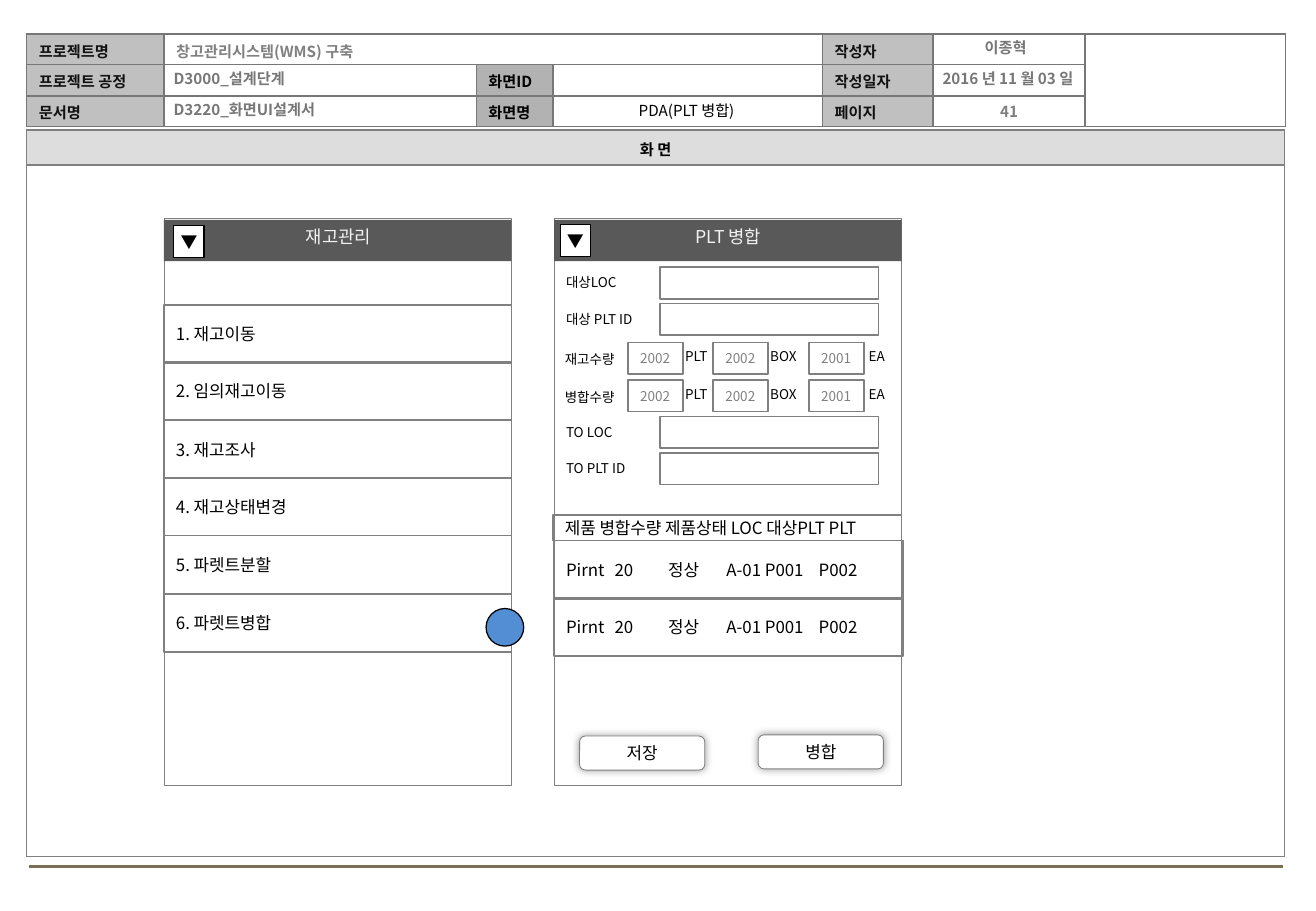
from dataclasses import dataclass
from typing import Optional

from lxml.etree import SubElement as Sub, Element as Elem
from pptx import Presentation
from pptx.dml.color import RGBColor as Rgb
from pptx.enum.shapes import MSO_CONNECTOR as Conn, MSO_SHAPE as Kind
from pptx.enum.text import MSO_ANCHOR as Anchor, MSO_AUTO_SIZE as Fit, PP_ALIGN as Align
from pptx.oxml.ns import qn
from pptx.util import Emu, Pt


@dataclass(frozen=True)
class Theme:
    face: str = "Noto Sans CJK KR"
    black: str = "000000"
    white: str = "FFFFFF"
    ink: str = "111111"
    edge: str = "808080"
    grid: str = "777777"
    page: str = "7F7F7F"
    label: str = "C0C0C0"
    field: str = "B2B2B2"
    band: str = "DDDDDD"
    bar: str = "595959"
    pale: str = "F2F2F2"
    dot: str = "538ED5"
    rule: str = "7A6F54"
    tiny: float = 8
    small: float = 9
    base: float = 10
    large: float = 10.5


@dataclass(frozen=True)
class Box:
    x: int
    y: int
    w: int
    h: int


@dataclass(frozen=True)
class Type:
    size: float
    color: str
    bold: bool = False
    align: Align = Align.LEFT


@dataclass(frozen=True)
class Look:
    fill: Optional[str] = None
    line: Optional[str] = None
    width: float = 1
    kind: Kind = Kind.RECTANGLE
    glow: bool = False


T = Theme()
TINY = Type(T.tiny, T.black)
BASE = Type(T.base, T.black)
FRAME = Look(line=T.edge)


def px(n: int) -> Emu:
    return Emu(n * 9144)


def place(box: Box) -> tuple:
    return px(box.x), px(box.y), px(box.w), px(box.h)


def write(frame, text: str, style: Type, tabs: tuple = ()) -> None:
    para = frame.paragraphs[0]
    para.alignment = style.align
    if tabs:
        stops = Sub(para._p.get_or_add_pPr(), qn("a:tabLst"))
        for stop in tabs:
            Sub(stops, qn("a:tab"), pos=str(px(stop)), algn="l")
    font = para.font
    font.size = Pt(style.size)
    font.bold = style.bold
    font.name = T.face
    font.color.rgb = Rgb.from_string(style.color)
    Sub(para._p.pPr.find(qn("a:defRPr")), qn("a:ea"), typeface=T.face)
    if text:
        para.add_run().text = text
    else:
        Sub(para._p, qn("a:endParaRPr"), sz=str(int(style.size * 100)))


def label(slide, box: Box, text: str, style: Type, wrap: bool = True) -> None:
    frame = slide.shapes.add_textbox(*place(box)).text_frame
    frame.word_wrap = wrap
    if not wrap:
        frame.margin_right = 0
    write(frame, text, style)


def shape(slide, box: Box, look: Look, text: str = "", style: Type = BASE,
          wrap: bool = True, tabs: tuple = ()):
    item = slide.shapes.add_shape(look.kind, *place(box))
    item.shadow.inherit = False
    if look.fill:
        item.fill.solid()
        item.fill.fore_color.rgb = Rgb.from_string(look.fill)
    else:
        item.fill.background()
    if look.line:
        item.line.color.rgb = Rgb.from_string(look.line)
        item.line.width = Pt(look.width)
    else:
        item.line.fill.background()
    if look.glow:
        shade = Sub(item._element.spPr.find(qn("a:effectLst")), qn("a:outerShdw"),
                    blurRad=str(Pt(5)), dist="0", dir="0", algn="ctr", rotWithShape="0")
        tint = Sub(shade, qn("a:srgbClr"), val=T.black)
        Sub(tint, qn("a:alpha"), val="40000")
    if text:
        frame = item.text_frame
        frame.word_wrap = wrap
        frame.vertical_anchor = Anchor.MIDDLE
        write(frame, text, style, tabs)
    return item


def border(cell, color: str) -> None:
    props = cell._tc.get_or_add_tcPr()
    for spot, side in enumerate(("lnL", "lnR", "lnT", "lnB")):
        line = Elem(qn(f"a:{side}"), w=str(Pt(1)))
        Sub(Sub(line, qn("a:solidFill")), qn("a:srgbClr"), val=color)
        props.insert(spot, line)


def table(slide, box: Box, cols: list, rows: list, color: str):
    grid = slide.shapes.add_table(len(rows), len(cols), *place(box)).table
    grid.first_row = grid.horz_banding = False
    for col, width in zip(grid.columns, cols):
        col.width = px(width)
    for row, height in zip(grid.rows, rows):
        row.height = px(height)
        for cell in row.cells:
            cell.fill.background()
            border(cell, color)
            cell.vertical_anchor = Anchor.MIDDLE
            cell.margin_left = cell.margin_right = px(10)
            cell.margin_top, cell.margin_bottom = px(3), px(1)
    return grid


def fill(grid, texts: dict) -> None:
    for r, row in enumerate(grid.rows):
        for c, cell in enumerate(row.cells):
            text, style, tint = texts.get((r, c), ("", Type(T.small, T.black), None))
            write(cell.text_frame, text, style)
            if tint:
                cell.fill.solid()
                cell.fill.fore_color.rgb = Rgb.from_string(tint)


def header(slide) -> None:
    grid = table(slide, Box(22, 28, 1036, 76), [113, 257, 63, 222, 91, 125, 165],
                 [25, 26, 25], T.grid)
    bold = Type(T.small, T.ink, True)
    dark = Type(T.small, T.black, True)
    texts = {(0, 1): ("창고관리시스템(WMS) 구축", Type(T.small, T.edge, True), None)}
    for col, names, first, style, tint in (
            (0, ("프로젝트명", "프로젝트 공정", "문서명"), 0, bold, T.label),
            (2, ("화면ID", "화면명"), 1, dark, T.field),
            (4, ("작성자", "작성일자", "페이지"), 0, bold, T.label)):
        for row, name in enumerate(names, first):
            texts[row, col] = name, style, tint
    grid.cell(0, 1).merge(grid.cell(0, 3))
    grid.cell(0, 6).merge(grid.cell(2, 6))
    fill(grid, texts)

    left = Type(T.small, T.grid, True)
    mid = Type(T.small, T.grid, True, Align.CENTER)
    label(slide, Box(133, 52, 542, 25), "D3000_설계단계", left)
    label(slide, Box(133, 78, 541, 25), "D3220_화면UI설계서", left)
    label(slide, Box(749, 27, 157, 25), "이종혁", mid)
    label(slide, Box(751, 52, 157, 25), "2016 년 11 월 03 일", mid)
    label(slide, Box(768, 79, 125, 25), "41", Type(T.small, T.page, True, Align.CENTER))

    body = table(slide, Box(22, 107, 1035, 598), [1035], [29, 569], T.edge)
    fill(body, {(0, 0): ("화 면", Type(T.small, T.black, True, Align.CENTER), T.band)})


def panel(slide, x: int, name: str, mark: Box) -> None:
    shape(slide, Box(x, 180, 286, 467), Look(T.white, T.edge, 0.5, Kind.FLOWCHART_PROCESS))
    shape(slide, Box(x, 181, 286, 34), Look(T.bar))
    label(slide, Box(x + 1, 181, 285, 28), name, Type(T.large, T.pale, align=Align.CENTER))
    arrow = shape(slide, mark, Look(T.white, T.black, 0.75), "▼",
                  Type(T.base, T.black, align=Align.CENTER), False).text_frame
    arrow.margin_left = arrow.margin_right = px(2)
    arrow.margin_top = arrow.margin_bottom = px(4)


def menu(slide) -> None:
    panel(slide, 135, "재고관리", Box(143, 186, 25, 26))
    names = ("재고이동", "임의재고이동", "재고조사", "재고상태변경", "파렛트분할", "파렛트병합")
    for i, name in enumerate(names):
        shape(slide, Box(135, 251 + i * 238 // 5, 286, 48), FRAME, f"{i + 1}. {name}")
    shape(slide, Box(400, 501, 31, 31), Look(T.dot, T.black, 0.75, Kind.OVAL))


def form(slide) -> None:
    panel(slide, 456, "PLT 병합", Box(461, 185, 25, 26))
    for y, name in ((220, "대상LOC"), (250, "대상 PLT ID"), (343, "TO LOC"), (373, "TO PLT ID")):
        shape(slide, Box(543, y, 180, 26), FRAME)
        label(slide, Box(456, y + 1, 80, 24), name, TINY, False)
    for y, name in ((282, "재고수량"), (313, "병합수량")):
        label(slide, Box(455, y + 2, 73, 24), name, TINY)
        for x, count, gap, width, unit in ((517, "2002", 37, 38, "PLT"),
                                           (587, "2002", 37, 42, "BOX"),
                                           (666, "2001", 39, 37, "EA")):
            shape(slide, Box(x, y, 45, 26), FRAME, count, Type(T.tiny, T.edge), False)
            label(slide, Box(x + gap, y, width, 24), unit, TINY, False)
    for y in (445, 492):
        shape(slide, Box(456, y, 287, 48), FRAME, "Pirnt\t20\t정상\tA-01 P001\tP002",
              tabs=(40, 84, 132, 208))
    shape(slide, Box(455, 424, 287, 21), FRAME, "제품 병합수량 제품상태 LOC 대상PLT PLT")
    key = Look(T.white, T.edge, 0.5, Kind.ROUNDED_RECTANGLE, True)
    for x, y, name in ((624, 605, "병합"), (477, 606, "저장")):
        shape(slide, Box(x, y, 103, 28), key, name, Type(T.base, T.black, align=Align.CENTER))


def main() -> None:
    deck = Presentation()
    deck.slide_width, deck.slide_height = px(1083), px(750)
    slide = deck.slides.add_slide(deck.slide_layouts[5])
    title = slide.shapes.title
    title.left, title.top, title.width, title.height = place(Box(456, 78, 218, 25))
    title.text_frame.auto_size = Fit.NONE
    title.text_frame.vertical_anchor = Anchor.TOP
    write(title.text_frame, "PDA(PLT 병합)", Type(T.small, T.black, align=Align.CENTER))

    rule = slide.shapes.add_connector(Conn.STRAIGHT, px(24), px(713), px(1056), px(713))
    rule.line.color.rgb = Rgb.from_string(T.rule)
    rule.line.width = Pt(1.75)
    Sub(rule._element.spPr, qn("a:effectLst"))
    header(slide)
    menu(slide)
    form(slide)
    deck.save("out.pptx")


if __name__ == "__main__":
    main()
